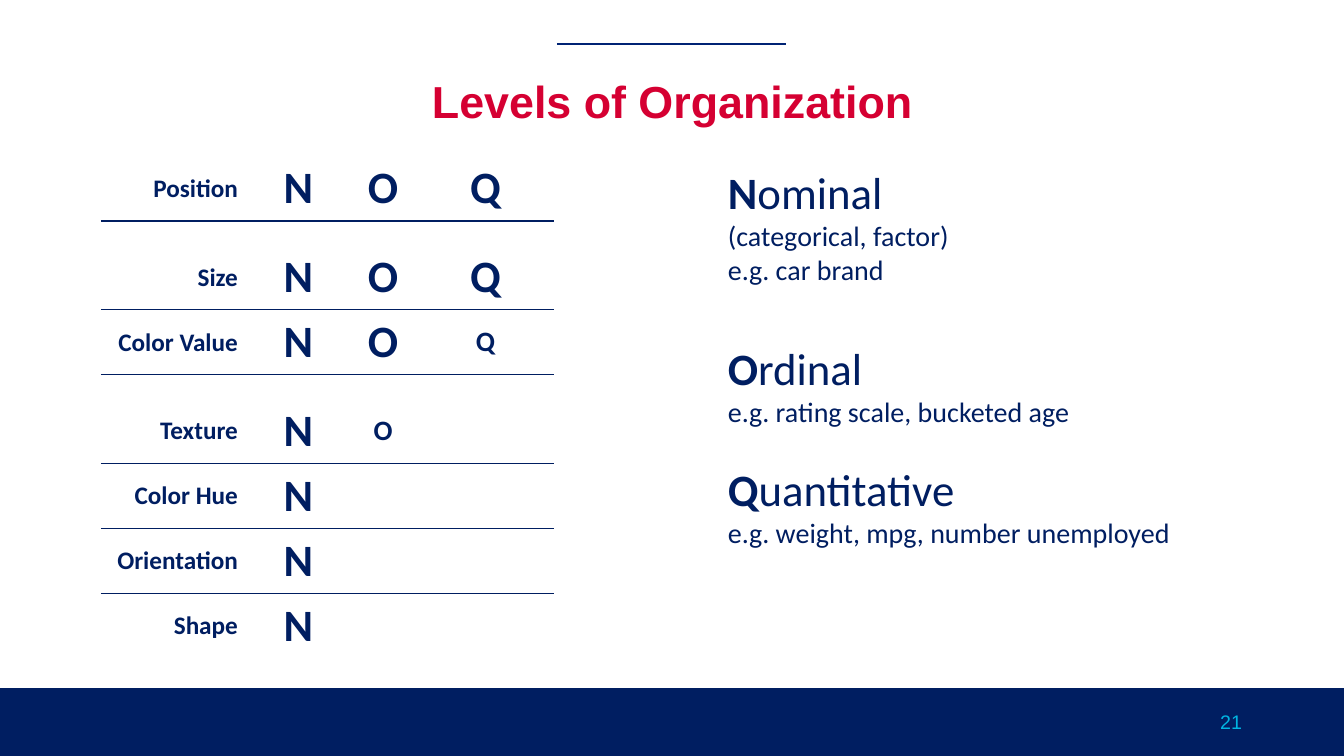
from lxml.etree import SubElement
from pptx import Presentation
from pptx.dml.color import RGBColor
from pptx.enum.shapes import MSO_CONNECTOR, MSO_SHAPE
from pptx.enum.text import MSO_ANCHOR, PP_ALIGN
from pptx.oxml import parse_xml
from pptx.oxml.ns import nsdecls, qn
from pptx.util import Pt

EMU_PER_PX = 914400 / 100.8
NAVY = RGBColor(0x00, 0x1E, 0x61)
ACCENT_NAVY = RGBColor(0x00, 0x23, 0x74)
CRIMSON = RGBColor(0xD5, 0x00, 0x32)
CYAN = RGBColor(0x00, 0xB5, 0xE2)
WHITE = RGBColor(0xFF, 0xFF, 0xFF)

NO_GRID_STYLE = "{2D5ABB26-0587-4C30-8999-92F81FD0307C}"
LARGE, SMALL = 32, 20
COLUMN_WIDTHS = [147, 101, 68, 137]
ROW_HEIGHT, GAP_HEIGHT = 65, 24
GAP = ("", [])
VARIABLES = [
    ("Position", [("N", LARGE), ("O", LARGE), ("Q", LARGE)]),
    GAP,
    ("Size", [("N", LARGE), ("O", LARGE), ("Q", LARGE)]),
    ("Color Value", [("N", LARGE), ("O", LARGE), ("Q", SMALL)]),
    GAP,
    ("Texture", [("N", LARGE), ("O", SMALL)]),
    ("Color Hue", [("N", LARGE)]),
    ("Orientation", [("N", LARGE)]),
    ("Shape", [("N", LARGE)]),
]
LEVELS = [
    ("N", "ominal", ["(categorical, factor)", "e.g. car brand"], 0),
    ("O", "rdinal", ["e.g. rating scale, bucketed age"], 39),
    ("Q", "uantitative", ["e.g. weight, mpg, number unemployed"], 24.4),
]


def px(length):
    return round(length * EMU_PER_PX)


def add_run(paragraph, text, size, color, font_name="Calibri", bold=False):
    run = paragraph.add_run()
    run.text = text
    run.font.size = Pt(size)
    run.font.name = font_name
    run.font.bold = bold
    run.font.color.rgb = color


def add_text_frame(slide, box, anchor=MSO_ANCHOR.TOP):
    frame = slide.shapes.add_textbox(*map(px, box)).text_frame
    frame.word_wrap = True
    frame.vertical_anchor = anchor
    return frame


def add_accent_line(slide, box):
    left, top, width, height = box
    accent = slide.shapes.add_connector(
        MSO_CONNECTOR.STRAIGHT, px(left), px(top), px(left + width), px(top + height))
    accent.line.color.rgb = ACCENT_NAVY
    accent.line.width = Pt(1.5)
    SubElement(accent._element.spPr, qn("a:effectLst"))


def add_footer(slide, box):
    left, top, width, height = box
    band = slide.shapes.add_shape(MSO_SHAPE.RECTANGLE, *map(px, box))
    band.shadow.inherit = False
    band.fill.solid()
    band.fill.fore_color.rgb = NAVY
    band.line.fill.background()
    number_box = (left + width - 365, top + 14, 273, 40)
    page_number = add_text_frame(slide, number_box, MSO_ANCHOR.MIDDLE).paragraphs[0]
    page_number.alignment = PP_ALIGN.RIGHT
    add_run(page_number, "21", 14, CYAN, "Arial")


def add_title(slide, box):
    title = add_text_frame(slide, box).paragraphs[0]
    title.alignment = PP_ALIGN.CENTER
    title.line_spacing = 0.9
    add_run(title, "Levels of Organization", 32, CRIMSON, "Arial", True)


def add_bottom_rule(cell):
    rule = parse_xml(
        f'<a:lnB {nsdecls("a")} w="12700"><a:solidFill><a:srgbClr val="{NAVY}"/>'
        '</a:solidFill><a:prstDash val="solid"/></a:lnB>')
    cell._tc.get_or_add_tcPr().insert(0, rule)


def shrink_gap(cell):
    cell.margin_top = cell.margin_bottom = 0
    cell.text_frame.paragraphs[0]._p.get_or_add_endParaRPr().set("sz", "800")


def add_variable_table(slide, box):
    frame = slide.shapes.add_table(len(VARIABLES), len(COLUMN_WIDTHS), *map(px, box))
    table = frame.table
    table.first_row = table.horz_banding = False
    table._tbl.tblPr.find(qn("a:tableStyleId")).text = NO_GRID_STYLE
    for column, width in zip(table.columns, COLUMN_WIDTHS):
        column.width = px(width)
    for row, (variable, levels) in zip(table.rows, VARIABLES):
        row.height = px(ROW_HEIGHT if variable else GAP_HEIGHT)
        entries = [(variable, 18)] + levels
        for index, cell in enumerate(row.cells):
            cell.fill.solid()
            cell.fill.fore_color.rgb = WHITE
            cell.vertical_anchor = MSO_ANCHOR.MIDDLE
            if not variable:
                shrink_gap(cell)
                continue
            if variable != VARIABLES[-1][0]:
                add_bottom_rule(cell)
            if index < len(entries):
                entry = cell.text_frame.paragraphs[0]
                entry.alignment = PP_ALIGN.CENTER if index else PP_ALIGN.RIGHT
                add_run(entry, *entries[index], NAVY, bold=True)


def add_level_definitions(slide, box):
    frame = add_text_frame(slide, box)
    for index, (initial, remainder, examples, space_before) in enumerate(LEVELS):
        heading = frame.add_paragraph() if index else frame.paragraphs[0]
        if index:
            heading.space_before = Pt(space_before)
        add_run(heading, initial, LARGE, NAVY, bold=True)
        add_run(heading, remainder, LARGE, NAVY)
        for example in examples:
            add_run(frame.add_paragraph(), example, SMALL, NAVY)


def main():
    presentation = Presentation()
    presentation.slide_width = px(1344)
    presentation.slide_height = px(756)
    slide = presentation.slides.add_slide(presentation.slide_layouts[6])
    add_footer(slide, (0, 688, 1344, 68))
    add_accent_line(slide, (557, 44, 229, 0))
    add_title(slide, (93, 75, 1159, 68))
    add_variable_table(slide, (101, 156, 453, 503))
    add_level_definitions(slide, (718, 160, 556, 397))
    presentation.save("out.pptx")


if __name__ == "__main__":
    main()
